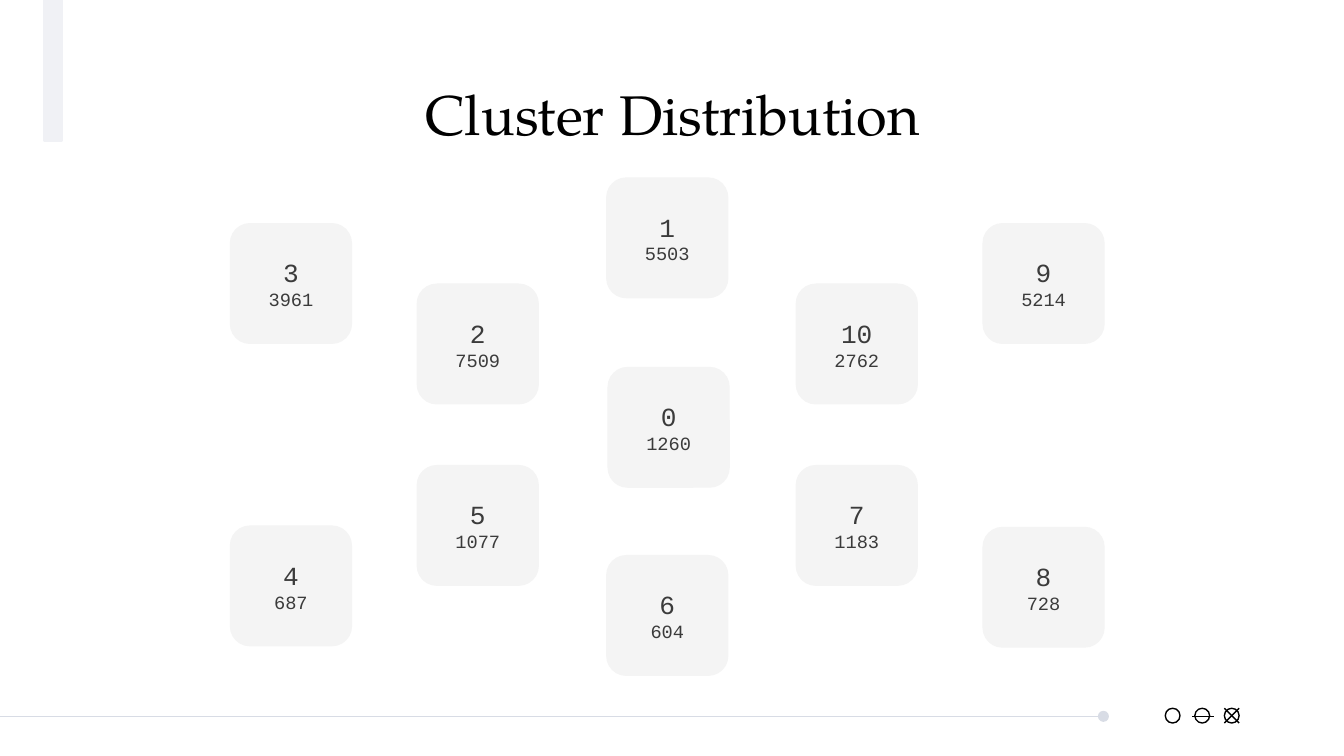
from lxml import etree
from pptx import Presentation
from pptx.dml.color import RGBColor
from pptx.enum.shapes import MSO_CONNECTOR, MSO_SHAPE
from pptx.enum.text import MSO_ANCHOR, MSO_AUTO_SIZE, PP_ALIGN
from pptx.oxml.ns import qn
from pptx.util import Inches, Pt

STRAIGHT = MSO_CONNECTOR.STRAIGHT
OVAL, RECTANGLE, ROUNDED = MSO_SHAPE.OVAL, MSO_SHAPE.RECTANGLE, MSO_SHAPE.ROUNDED_RECTANGLE
TOP, MIDDLE = MSO_ANCHOR.TOP, MSO_ANCHOR.MIDDLE
CENTER = PP_ALIGN.CENTER
NO_AUTOFIT = MSO_AUTO_SIZE.NONE

COLORS = {
    "ink": "000000",
    "rule": "D8DCE5",
    "bar": "F0F1F5",
    "card": "F4F4F4",
    "card_text": "3B3B3B",
}
COLORS = {name: RGBColor.from_string(value) for name, value in COLORS.items()}

# Widescreen page, 16:9
deck = Presentation()
deck.slide_width = Inches(10)
deck.slide_height = Inches(10) * 9 // 16
page = deck.slides.add_slide(deck.slide_layouts[5])


def add_line(x1, y1, x2, y2, color):
    line = page.shapes.add_connector(STRAIGHT, Inches(x1), Inches(y1), Inches(x2), Inches(y2))
    line.line.color.rgb = COLORS[color]
    line.line.width = Pt(0.75)
    etree.SubElement(line._element.spPr, qn("a:effectLst"))
    return line


def add_block(kind, left, top, width, height, fill=None, outline=None, weight=0.75):
    block = page.shapes.add_shape(kind, Inches(left), Inches(top), Inches(width), Inches(height))
    block.shadow.inherit = False
    if fill:
        block.fill.solid()
        block.fill.fore_color.rgb = COLORS[fill]
    else:
        block.fill.background()
    if outline:
        block.line.color.rgb = COLORS[outline]
        block.line.width = Pt(weight)
    else:
        block.line.fill.background()
    return block


# Footer rule with a round end
rule = add_line(8.21, 5.33, 0, 5.33, "rule")
etree.SubElement(rule.line._get_or_add_ln(), qn("a:headEnd"), type="oval")

# Footer symbols: circle, struck circle, crossed circle
for left in (8.67, 8.89, 9.11):
    add_block(OVAL, left, 5.27, 0.11, 0.11, outline="ink")
add_line(8.87, 5.33, 9.03, 5.33, "ink")
add_line(9.11, 5.38, 9.22, 5.27, "ink")
add_line(9.22, 5.38, 9.11, 5.27, "ink")

# Bar in the top left corner
add_block(RECTANGLE, 0.33, 0, 0.13, 1.05, fill="bar", outline="bar", weight=1.5)

# Title
title = page.shapes.title
title.left, title.top = Inches(0.79), Inches(0.49)
title.width, title.height = Inches(8.43), Inches(0.63)
frame = title.text_frame
frame.text = "Cluster Distribution"
frame.word_wrap = True
frame.auto_size = NO_AUTOFIT
frame.vertical_anchor = TOP
frame.margin_left = frame.margin_right = Inches(0.1)
frame.margin_top = frame.margin_bottom = Inches(0.1)
para = frame.paragraphs[0]
para.alignment = CENTER
para.font.size = Pt(30)
para.font.name = "TeX Gyre Pagella"
para.font.color.rgb = COLORS["ink"]

# Cluster cards: left, top, cluster number, member count
clusters = [
    (4.51, 1.32, "1", "5503"),
    (3.1, 2.11, "2", "7509"),
    (5.92, 2.11, "10", "2762"),
    (4.51, 4.13, "6", "604"),
    (3.1, 3.46, "5", "1077"),
    (5.92, 3.46, "7", "1183"),
    (1.71, 1.66, "3", "3961"),
    (1.71, 3.91, "4", "687"),
    (7.31, 1.66, "9", "5214"),
    (7.31, 3.92, "8", "728"),
    (4.52, 2.73, "0", "1260"),
]
for left, top, number, count in clusters:
    card = add_block(ROUNDED, left, top, 0.91, 0.9, fill="card")
    frame = card.text_frame
    frame.text = f"{number}\n{count}"
    frame.word_wrap = True
    frame.vertical_anchor = MIDDLE
    for para, size in zip(frame.paragraphs, (14, 10)):
        para.alignment = CENTER
        para.font.size = Pt(size)
        para.font.name = "Courier New"
        para.font.color.rgb = COLORS["card_text"]

deck.save("out.pptx")
